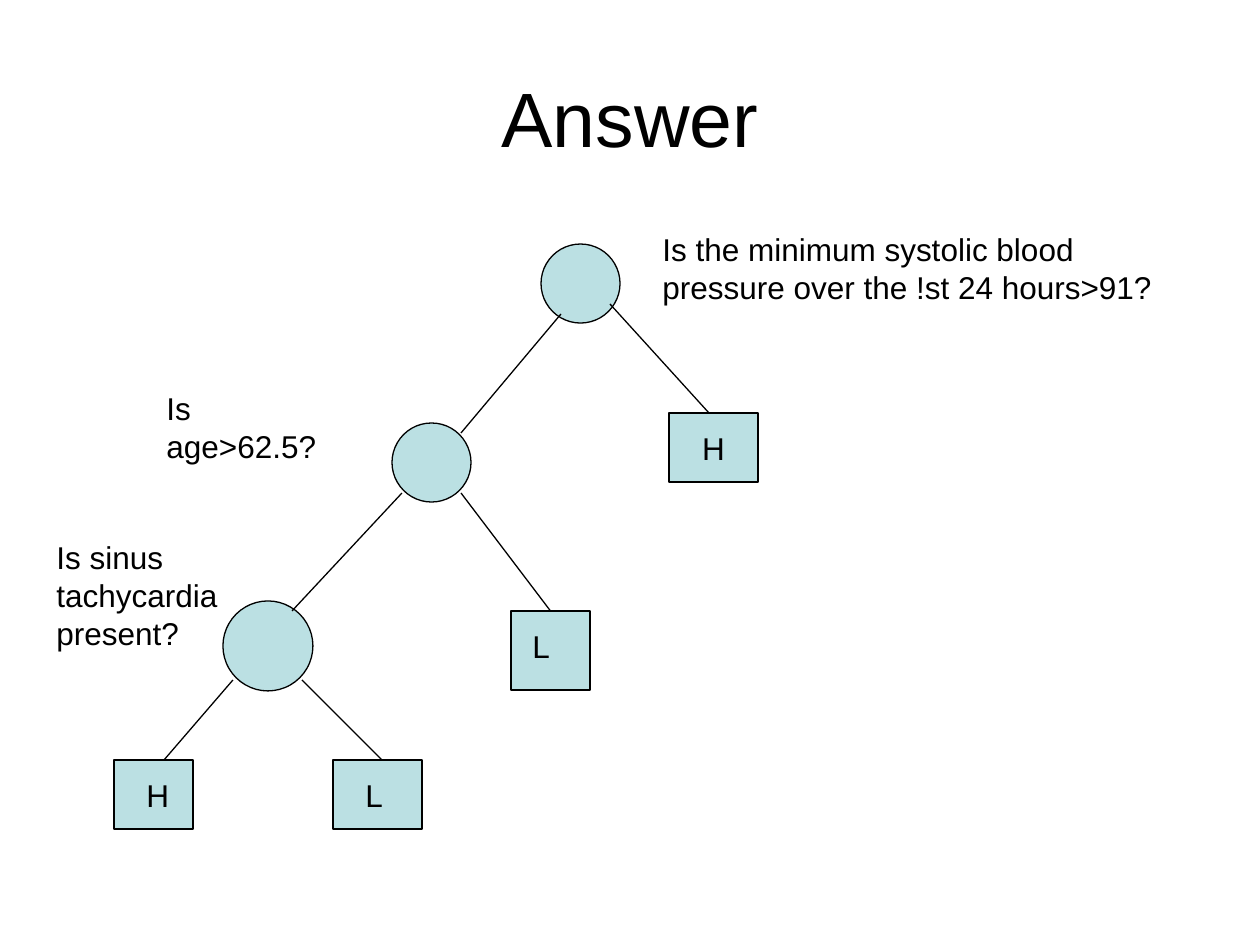
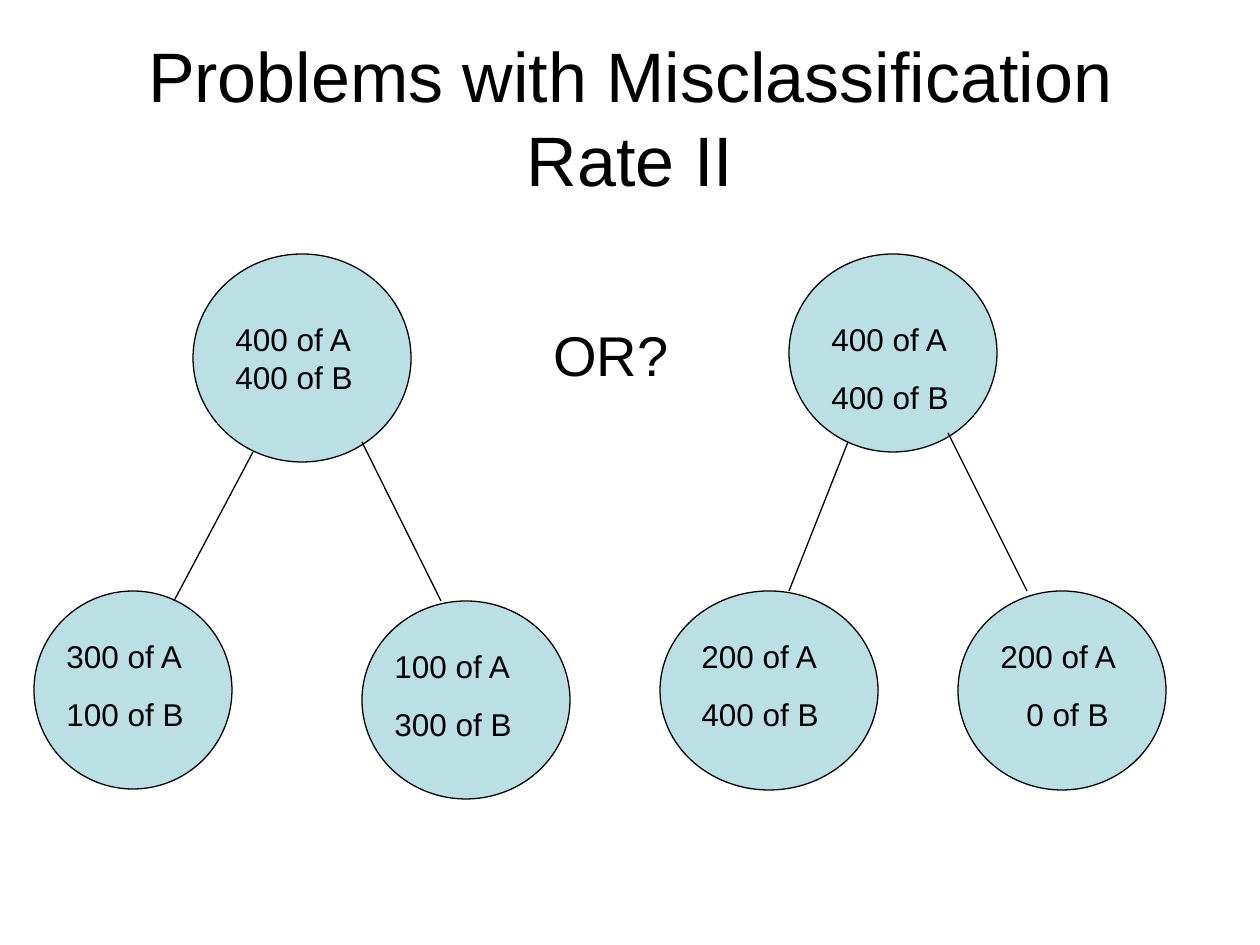
from lxml import etree
from pptx import Presentation
from pptx import util as u
from pptx.dml.color import RGBColor
from pptx.enum import shapes, text
from pptx.oxml import ns

EMU_PER_PX = 914400 / 126
FONT = "Arial"
BLACK = "000000"
NODE_FILL = "BBE0E3"
BODY_SIZE = 18


def px(length):
    return u.Emu(round(length * EMU_PER_PX))


def colour(hex_string):
    return RGBColor.from_string(hex_string)


def set_font(paragraph, size):
    paragraph.font.name = FONT
    paragraph.font.size = u.Pt(size)
    paragraph.font.color.rgb = colour(BLACK)


def set_outline(shape):
    shape.line.color.rgb = colour(BLACK)
    shape.line.width = u.Pt(0.75)


def add_titled_slide(presentation, title_text, size):
    slide = presentation.slides.add_slide(presentation.slide_layouts[5])
    title = slide.shapes.title
    title.left, title.top, title.width, title.height = map(px, (63, 38, 1134, 158))
    frame = title.text_frame
    frame.text = title_text
    frame.auto_size = text.MSO_AUTO_SIZE.NONE
    frame.vertical_anchor = text.MSO_ANCHOR.MIDDLE
    frame.paragraphs[0].alignment = text.PP_ALIGN.CENTER
    set_font(frame.paragraphs[0], size)
    return slide


def add_node(slide, kind, left, top, width, height):
    node = slide.shapes.add_shape(kind, *map(px, (left, top, width, height)))
    node.shadow.inherit = False
    node.fill.solid()
    node.fill.fore_color.rgb = colour(NODE_FILL)
    set_outline(node)
    return node


def add_circle(slide, left, top, width, height):
    return add_node(slide, shapes.MSO_SHAPE.OVAL, left, top, width, height)


def add_leaf(slide, left, top, width, height):
    return add_node(slide, shapes.MSO_SHAPE.RECTANGLE, left, top, width, height)


def add_branch(slide, start, end):
    branch = slide.shapes.add_connector(
        shapes.MSO_CONNECTOR.STRAIGHT, *map(px, start + end))
    set_outline(branch)
    etree.SubElement(branch.element.spPr, ns.qn("a:effectLst"))
    return branch


def add_label(slide, left, top, width, height, *lines, size=BODY_SIZE):
    label = slide.shapes.add_textbox(*map(px, (left, top, width, height)))
    frame = label.text_frame
    frame.word_wrap = True
    frame.auto_size = text.MSO_AUTO_SIZE.SHAPE_TO_FIT_TEXT
    frame.text = "\n".join(lines)
    for paragraph in frame.paragraphs:
        set_font(paragraph, size)
    for paragraph in frame.paragraphs[1:]:
        paragraph.space_before = u.Pt(11.2)
    return label


def build_answer(presentation):
    slide = add_titled_slide(presentation, "Answer", 44)
    for left, top, diameter in ((541, 244, 79), (392, 423, 79), (223, 601, 90)):
        add_circle(slide, left, top, diameter, diameter)

    add_leaf(slide, 114, 760, 79, 69)
    add_leaf(slide, 333, 760, 89, 69)
    low_risk_leaf = add_leaf(slide, 511, 611, 79, 79)
    high_risk_leaf = add_leaf(slide, 669, 413, 89, 69)

    frame = high_risk_leaf.text_frame
    frame.text = "H"
    frame.word_wrap = False
    frame.vertical_anchor = text.MSO_ANCHOR.MIDDLE
    frame.paragraphs[0].alignment = text.PP_ALIGN.CENTER
    set_font(frame.paragraphs[0], BODY_SIZE)

    for start, end in (
        ((561, 314), (461, 433)),
        ((610, 304), (709, 413)),
        ((402, 493), (292, 611)),
        ((233, 680), (164, 760)),
        ((302, 680), (382, 760)),
    ):
        add_branch(slide, start, end)
    add_branch(slide, (461, 493), (551, 611)).end_connect(low_risk_leaf, 0)

    for left, top, width, height, wording in (
        (650, 224, 546, 88,
         "Is the minimum systolic blood pressure over the !st 24 hours>91?"),
        (154, 383, 198, 88, "Is age>62.5?"),
        (44, 532, 208, 126, "Is sinus tachycardia present?"),
        (134, 770, 39, 50, "H"),
        (353, 770, 59, 50, "L"),
        (520, 621, 59, 50, "L"),
    ):
        add_label(slide, left, top, width, height, wording)


def build_misclassification(presentation):
    slide = add_titled_slide(
        presentation, "Problems with Misclassification Rate II", 40)
    for circle in (
        (193, 254, 218, 208),
        (34, 591, 198, 198),
        (362, 601, 208, 198),
        (789, 254, 208, 198),
        (660, 591, 218, 199),
        (958, 591, 208, 199),
    ):
        add_circle(slide, *circle)

    for start, end in (
        ((253, 452), (174, 601)),
        ((362, 442), (441, 601)),
        ((848, 442), (789, 591)),
        ((948, 433), (1027, 591)),
    ):
        add_branch(slide, start, end)

    add_label(slide, 223, 314, 169, 88, "400 of A 400 of B")
    add_label(slide, 541, 314, 179, 81, "OR?", size=32)
    for left, top, width, count_a, count_b in (
        (54, 631, 169, 300, 100),
        (382, 641, 149, 100, 300),
        (819, 314, 159, 400, 400),
        (689, 631, 159, 200, 400),
        (988, 631, 149, 200, 0),
    ):
        label = add_label(slide, left, top, width, 108,
                          f"{count_a} of A", f"{count_b} of B")
        if count_b == 0:
            properties = label.text_frame.paragraphs[1]._p.get_or_add_pPr()
            properties.set("marL", str(px(26)))


def main():
    presentation = Presentation()
    presentation.slide_width, presentation.slide_height = px(1260), px(945)
    build_answer(presentation)
    build_misclassification(presentation)
    presentation.save("out.pptx")


if __name__ == "__main__":
    main()
